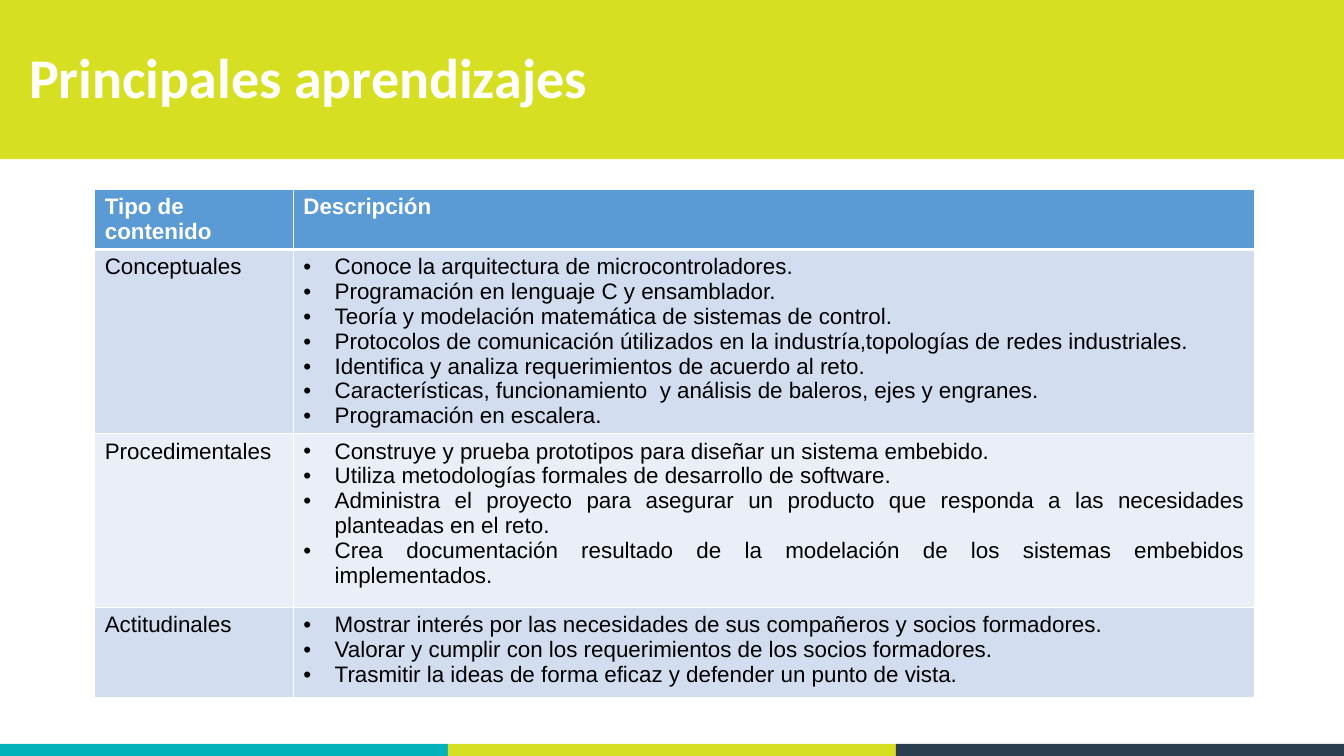
from dataclasses import dataclass

from lxml import etree
from pptx import Presentation
from pptx import util as u
from pptx.dml import color
from pptx.enum import shapes, text
from pptx.oxml import ns

WHITE, BLACK, LIME = "FFFFFF", "000000", "D7DF23"
HEADER_FILL, BAND_FILLS = "5B9BD5", ("D2DEEF", "EAEFF7")
SLIDE_WIDTH, SLIDE_HEIGHT = 13.33, 7.5
STRIPE_TOP = 7.38
STRIPE_WIDTH = SLIDE_WIDTH / 3
COLUMN_WIDTHS = (1.97, 9.53)
HEADINGS = ("Tipo de contenido", "Descripción")
HEADER_HEIGHT = 0.59


@dataclass
class Band:
    left: float
    top: float
    width: float
    height: float
    fill: str


@dataclass
class Learning:
    kind: str
    height: float
    items: tuple[str, ...]


BANDS = [
    Band(index * STRIPE_WIDTH, STRIPE_TOP, STRIPE_WIDTH, SLIDE_HEIGHT - STRIPE_TOP, fill)
    for index, fill in enumerate(("00B2BA", LIME, "2B3E4F"))
] + [Band(0, 0, SLIDE_WIDTH, 1.58, LIME)]

LEARNINGS = [
    Learning("Conceptuales", 1.83, (
        "Conoce la arquitectura de microcontroladores.",
        "Programación en lenguaje C y ensamblador.",
        "Teoría y modelación matemática de sistemas de control.",
        "Protocolos de comunicación útilizados en la industría,topologías de redes industriales.",
        "Identifica y analiza requerimientos de acuerdo al reto.",
        "Características, funcionamiento  y análisis de baleros, ejes y engranes.",
        "Programación en escalera.",
    )),
    Learning("Procedimentales", 1.72, (
        "Construye y prueba prototipos para diseñar un sistema embebido.",
        "Utiliza metodologías formales de desarrollo de software.",
        "Administra el proyecto para asegurar un producto que responda a las necesidades "
        "planteadas en el reto.",
        "Crea documentación resultado de la modelación de los sistemas embebidos implementados.",
    )),
    Learning("Actitudinales", 0.9, (
        "Mostrar interés por las necesidades de sus compañeros y socios formadores.",
        "Valorar y cumplir con los requerimientos de los socios formadores.",
        "Trasmitir la ideas de forma eficaz y defender un punto de vista.",
    )),
]


def rgb(value: str) -> color.RGBColor:
    return color.RGBColor.from_string(value)


def add_run(paragraph, content: str, size: float, font: str, fill: str, bold: bool) -> None:
    run = paragraph.add_run()
    run.text = content
    run.font.size = u.Pt(size)
    run.font.name = font
    run.font.bold = bold
    run.font.color.rgb = rgb(fill)


def draw_band(slide, band: Band) -> None:
    shape = slide.shapes.add_shape(
        shapes.MSO_SHAPE.RECTANGLE,
        *(u.Inches(value) for value in (band.left, band.top, band.width, band.height)))
    shape.shadow.inherit = False
    shape.fill.solid()
    shape.fill.fore_color.rgb = rgb(band.fill)
    shape.line.fill.background()


def draw_title(slide, content: str) -> None:
    title = slide.shapes.title
    slide.shapes.element.append(title.element)
    title.left, title.top = u.Inches(0.19), u.Inches(0.07)
    title.width, title.height = u.Inches(11.5), u.Inches(1.45)
    title.text_frame.vertical_anchor = text.MSO_ANCHOR.MIDDLE
    paragraph = title.text_frame.paragraphs[0]
    paragraph.alignment = text.PP_ALIGN.LEFT
    paragraph.line_spacing = 0.9
    add_run(paragraph, content, 40, "Calibri", WHITE, True)


def add_bullet(paragraph) -> None:
    properties = paragraph._p.get_or_add_pPr()
    properties.set("marL", str(u.Inches(0.31)))
    properties.set("indent", str(u.Inches(-0.31)))
    bullet_color = etree.SubElement(properties, ns.qn("a:buClr"))
    etree.SubElement(bullet_color, ns.qn("a:srgbClr"), val=BLACK)
    etree.SubElement(properties, ns.qn("a:buFont"), typeface="Arial")
    etree.SubElement(properties, ns.qn("a:buChar"), char="•")


def set_borders(cell, top: float, bottom: float) -> None:
    properties = cell._tc.get_or_add_tcPr()
    for index, (side, width) in enumerate((("L", 1), ("R", 1), ("T", top), ("B", bottom))):
        line = etree.Element(ns.qn(f"a:ln{side}"), w=str(u.Pt(width)))
        fill = etree.SubElement(line, ns.qn("a:solidFill"))
        etree.SubElement(fill, ns.qn("a:srgbClr"), val=WHITE)
        properties.insert(index, line)


def fill_cell(cell, lines: tuple[str, ...], row: int, bulleted: bool) -> None:
    is_header = row == 0
    cell.fill.solid()
    cell.fill.fore_color.rgb = rgb(HEADER_FILL if is_header else BAND_FILLS[(row - 1) % 2])
    set_borders(cell, 3 if row == 1 else 1, 3 if is_header else 1)
    for index, content in enumerate(lines):
        frame = cell.text_frame
        paragraph = frame.add_paragraph() if index else frame.paragraphs[0]
        if bulleted:
            paragraph.alignment = text.PP_ALIGN.JUSTIFY
            add_bullet(paragraph)
        add_run(paragraph, content, 16, "Arial", WHITE if is_header else BLACK, is_header)


def draw_table(slide, learnings: list[Learning]) -> None:
    heights = [HEADER_HEIGHT] + [learning.height for learning in learnings]
    table = slide.shapes.add_table(
        len(heights), len(COLUMN_WIDTHS), u.Inches(0.94), u.Inches(1.88),
        u.Inches(sum(COLUMN_WIDTHS)), u.Inches(sum(heights))).table
    for column, width in zip(table.columns, COLUMN_WIDTHS):
        column.width = u.Inches(width)
    for row, height in zip(table.rows, heights):
        row.height = u.Inches(height)
    for column, heading in enumerate(HEADINGS):
        fill_cell(table.cell(0, column), (heading,), 0, False)
    for row, learning in enumerate(learnings, start=1):
        fill_cell(table.cell(row, 0), (learning.kind,), row, False)
        fill_cell(table.cell(row, 1), learning.items, row, True)


def main() -> None:
    presentation = Presentation()
    presentation.slide_width = u.Inches(SLIDE_WIDTH)
    presentation.slide_height = u.Inches(SLIDE_HEIGHT)
    slide = presentation.slides.add_slide(presentation.slide_layouts.get_by_name("Title Only"))
    for band in BANDS:
        draw_band(slide, band)
    draw_title(slide, "Principales aprendizajes")
    draw_table(slide, LEARNINGS)
    presentation.save("out.pptx")


if __name__ == "__main__":
    main()
